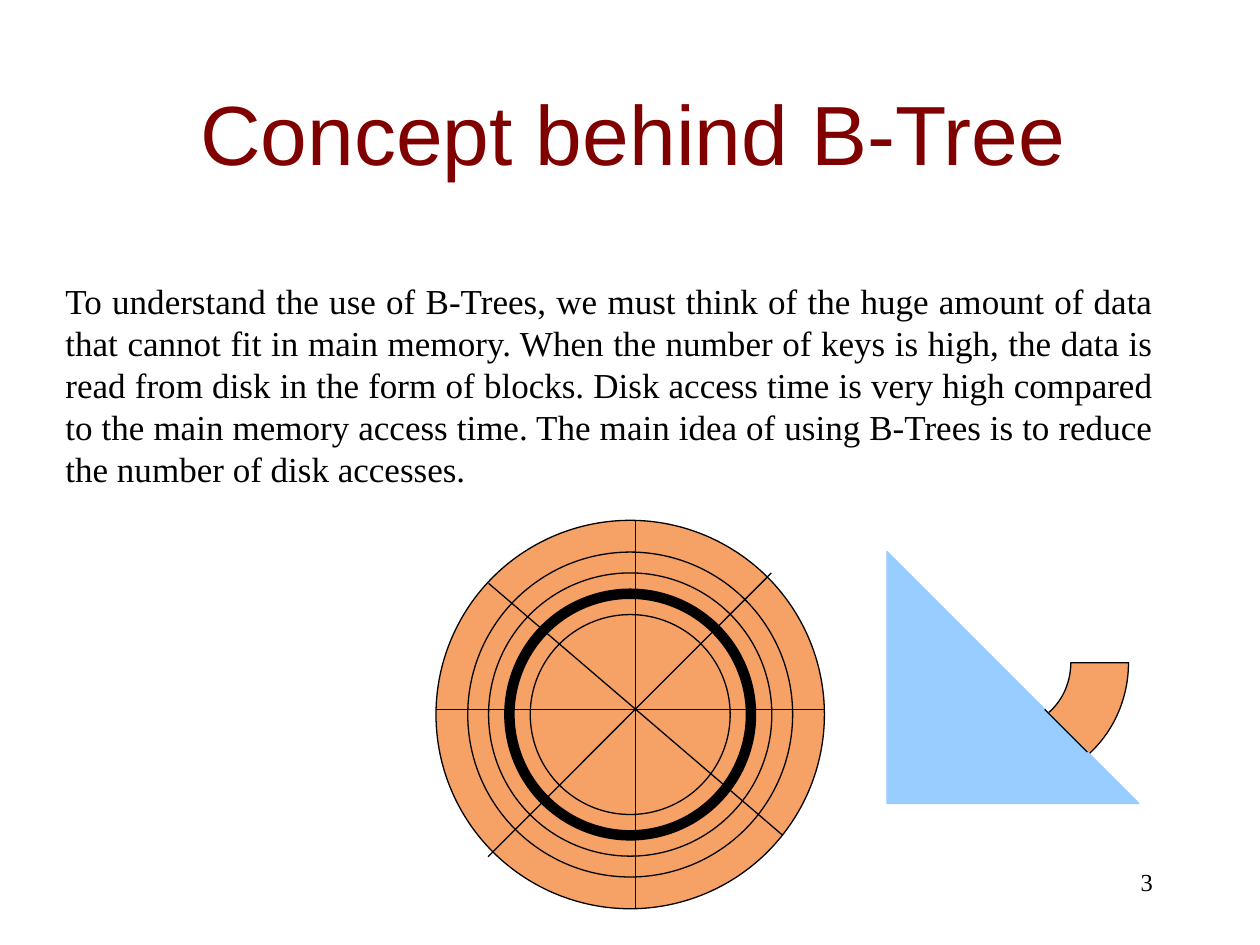
import pptx
import pptx.util
import pptx.dml.color
import pptx.enum.shapes
import pptx.enum.text
import pptx.oxml.ns
from lxml import etree

Cm = pptx.util.Cm
Pt = pptx.util.Pt
Kind = pptx.enum.shapes.MSO_SHAPE
Align = pptx.enum.text.PP_ALIGN
Anchor = pptx.enum.text.MSO_ANCHOR

HUES = {"title": "800000", "ink": "000000", "disk": "F6A166", "wedge": "99CCFF"}
BODY = (
    "To understand the use of B-Trees, we must think of the huge amount of data "
    "that cannot fit in main memory. When the number of keys is high, the data is "
    "read from disk in the form of blocks. Disk access time is very high compared "
    "to the main memory access time. The main idea of using B-Trees is to reduce "
    "the number of disk accesses."
)


def hue(name):
    return pptx.dml.color.RGBColor.from_string(HUES[name])


def write(shape, text, size, font, color, align):
    para = shape.text_frame.paragraphs[0]
    para.alignment = align
    run = para.add_run()
    run.text = text
    run.font.size = Pt(size)
    run.font.name = font
    run.font.color.rgb = hue(color)


def add_form(slide, kind, box, fill=None, line="ink", width=0.75):
    form = slide.shapes.add_shape(kind, *map(Cm, box))
    form.shadow.inherit = False
    if fill:
        form.fill.solid()
        form.fill.fore_color.rgb = hue(fill)
    else:
        form.fill.background()
    form.line.color.rgb = hue(line)
    form.line.width = Pt(width)
    return form


def add_line(slide, x1, y1, x2, y2):
    line = slide.shapes.add_connector(
        pptx.enum.shapes.MSO_CONNECTOR.STRAIGHT, Cm(x1), Cm(y1), Cm(x2), Cm(y2))
    line.line.color.rgb = hue("ink")
    line.line.width = Pt(0.75)
    props = line._element.spPr
    etree.SubElement(props, pptx.oxml.ns.qn("a:effectLst"))


def add_title(slide, box):
    title = slide.shapes.title
    title.left, title.top, title.width, title.height = map(Cm, box)
    title.text_frame.vertical_anchor = Anchor.MIDDLE
    write(title, "Concept behind B-Tree", 48, "Arial", "title", Align.CENTER)


def add_text(slide, box, text, size, align):
    area = slide.shapes.add_textbox(*map(Cm, box))
    area.text_frame.word_wrap = True
    write(area, text, size, "Times New Roman", "ink", align)


def add_disk(slide, left, top, size):
    # Tracks: inset from the rim, line width; the thick one is in use
    tracks = [(0, 0.75), (0.64, 0.75), (1.06, 0.75), (1.48, 6), (1.9, 0.75)]
    for inset, width in tracks:
        side = size - 2 * inset
        add_form(slide, Kind.OVAL, (left + inset, top + inset, side, side),
                 None if inset else "disk", width=width)

    # Sector lines
    spokes = [
        (0, 3.81, size, 3.81),
        (4.02, 0, 4.02, size),
        (1.06, 1.27, 6.99, 6.35),
        (6.76, 1.06, 1.05, 6.78),
    ]
    for x1, y1, x2, y2 in spokes:
        add_line(slide, left + x1, top + y1, left + x2, top + y2)


def add_block(slide, left, top):
    # Lower half ring, mostly hidden by the wedge
    arc = add_form(slide, Kind.BLOCK_ARC, (left + 0.22, top, 4.65, 4.88), "disk")
    arc.adjustments[0] = 0
    arc.adjustments[1] = 108  # 180 degrees
    arc.adjustments[2] = 0.25
    add_form(slide, Kind.RIGHT_TRIANGLE, (left, top + 0.2, 5.08, 5.08),
             "wedge", "wedge")
    # Cut edge of the block
    add_line(slide, left + 3.18, top + 3.38, left + 4.04, top + 4.24)


def main():
    deck = pptx.Presentation()
    deck.slide_width, deck.slide_height = Cm(25.4), Cm(19.05)
    slide = deck.slides.add_slide(deck.slide_layouts[5])
    add_title(slide, (1.96, 1.07, 21.59, 3.18))
    add_text(slide, (18.21, 17.35, 5.28, 1.27), "3", 14, Align.RIGHT)
    add_text(slide, (1.07, 5.51, 22.43, 4.5), BODY, 20, Align.JUSTIFY)
    add_disk(slide, 8.79, 10.49, 7.83)
    add_block(slide, 17.88, 10.92)
    deck.save("out.pptx")


if __name__ == "__main__":
    main()
